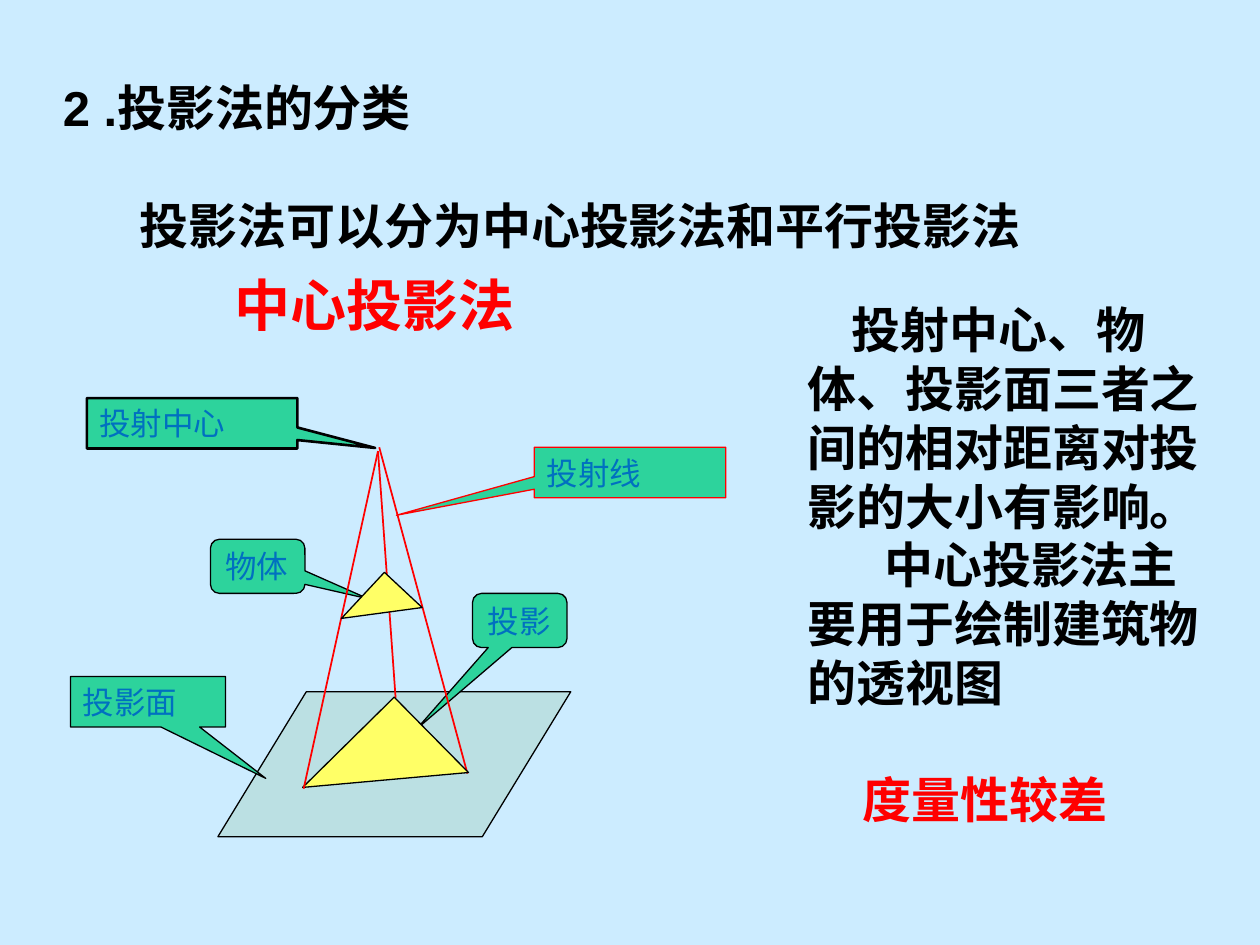
from dataclasses import dataclass

import pptx
import pptx.dml.color
import pptx.enum.shapes
import pptx.enum.text
import pptx.oxml.ns
import pptx.util
from lxml import etree

RGBColor = pptx.dml.color.RGBColor
Shape = pptx.enum.shapes.MSO_SHAPE

# The slide is a grid of 100 columns by 75 rows
SLIDE_WIDTH = pptx.util.Inches(10)
SLIDE_HEIGHT = pptx.util.Inches(7.5)
COLUMN = SLIDE_WIDTH / 100
ROW = SLIDE_HEIGHT / 75

SKY = RGBColor(0xCC, 0xEC, 0xFF)
PLANE = RGBColor(0xBB, 0xE0, 0xE3)
GREEN = RGBColor(0x2D, 0xD3, 0x9C)
YELLOW = RGBColor(0xFF, 0xFF, 0x66)
BLUE = RGBColor(0x00, 0x70, 0xC0)
RED = RGBColor(0xFF, 0x00, 0x00)
BLACK = RGBColor(0x00, 0x00, 0x00)

ARIAL = "Arial"
TIMES = "Times New Roman"
CHINESE = "Noto Sans CJK SC"
LINE_HEIGHT = 1.2


@dataclass(frozen=True)
class Area:
    left: float
    top: float
    width: float
    height: float

    def lengths(self) -> list[int]:
        units = (COLUMN, ROW, COLUMN, ROW)
        cells = (self.left, self.top, self.width, self.height)
        return [round(cell * unit) for cell, unit in zip(cells, units)]


@dataclass(frozen=True)
class Line:
    text: str
    font: str = ARIAL
    size: int = 28
    color: RGBColor = BLACK
    bold: bool = True
    indent: float = 0  # columns
    blank_before: int = 0  # line heights


@dataclass(frozen=True)
class Callout:
    text: str
    area: Area
    tip: tuple[float, float]
    rounded: bool = False
    outline: RGBColor = BLACK
    weight: float = 0.75


@dataclass(frozen=True)
class Ray:
    start: tuple[float, float]
    end: tuple[float, float]


TEXT_BOXES = [
    (Area(4, 5.7, 80.9, 19.7), [
        Line("2 .投影法的分类"),
        Line("投影法可以分为中心投影法和平行投影法", indent=6.1, blank_before=1),
    ]),
    (Area(17.6, 21, 26.4, 6.4), [Line("中心投影法", size=32, color=RED)]),
    (Area(63.1, 23.3, 34.1, 47.7), [
        Line("投射中心、物体、投影面三者之间的相对距离对投影的大小有影响。",
             font=TIMES, indent=3.5),
        Line("中心投影法主要用于绘制建筑物的透视图", indent=6.1),
        Line("度量性较差", font=TIMES, color=RED, indent=4.4, blank_before=1),
    ]),
]

CALLOUTS = [
    Callout("投射线", Area(42.4, 35.5, 15.2, 4), (-1.22, 0.85), outline=RED),
    Callout("物体", Area(16.7, 42.8, 7.5, 4.3), (1.17, 0.6), rounded=True),
    Callout("投影面", Area(5.6, 53.7, 12.3, 4), (0.76, 1.52)),
    Callout("投影", Area(37.5, 47.1, 7.5, 4.3), (-1.09, 2), rounded=True),
    Callout("投射中心", Area(6.9, 31.6, 16.7, 4), (0.87, 0.49), weight=1.5),
]

RIGHT_RAY = Ray((30.1, 35.5), (37.1, 61.4))
MIDDLE_RAY = Ray((30, 35.8), (31.4, 55.4))
LEFT_RAY = Ray((30, 35.8), (24.1, 62.6))


def write_lines(frame, lines: list[Line]) -> None:
    for index, line in enumerate(lines):
        para = frame.paragraphs[0] if index == 0 else frame.add_paragraph()
        para.alignment = pptx.enum.text.PP_ALIGN.LEFT
        pitch = line.size * LINE_HEIGHT
        para.line_spacing = pptx.util.Pt(pitch)
        para.space_before = pptx.util.Pt(pitch * line.blank_before)
        properties = para._p.get_or_add_pPr()
        properties.set("indent", str(round(line.indent * COLUMN)))
        properties.set("hangingPunct", "0")
        run = para.add_run()
        run.text = line.text
        run.font.name = line.font
        run.font.size = pptx.util.Pt(line.size)
        run.font.bold = line.bold
        run.font.color.rgb = line.color
        east_asian = etree.SubElement(run._r.get_or_add_rPr(), pptx.oxml.ns.qn("a:ea"))
        east_asian.set("typeface", CHINESE)


def add_text_box(page, area: Area, lines: list[Line]) -> None:
    box = page.shapes.add_textbox(*area.lengths())
    box.text_frame.word_wrap = True
    write_lines(box.text_frame, lines)


def add_figure(page, kind, area: Area, fill: RGBColor, outline: RGBColor = BLACK,
               weight: float = 0.75, adjust: tuple = (), rotation: float = 0):
    figure = page.shapes.add_shape(kind, *area.lengths())
    figure.shadow.inherit = False
    figure.fill.solid()
    figure.fill.fore_color.rgb = fill
    figure.line.color.rgb = outline
    figure.line.width = pptx.util.Pt(weight)
    figure.rotation = rotation
    for index, value in enumerate(adjust):
        figure.adjustments[index] = value
    return figure


def add_callout(page, callout: Callout) -> None:
    kind = (Shape.ROUNDED_RECTANGULAR_CALLOUT if callout.rounded
            else Shape.RECTANGULAR_CALLOUT)
    figure = add_figure(page, kind, callout.area, GREEN, callout.outline,
                        callout.weight, callout.tip)
    frame = figure.text_frame
    frame.word_wrap = not callout.rounded
    frame.vertical_anchor = pptx.enum.text.MSO_ANCHOR.MIDDLE
    write_lines(frame, [Line(callout.text, TIMES, 18, BLUE, bold=False)])


def add_ray(page, ray: Ray) -> None:
    ends = [round(cell * unit) for point in (ray.start, ray.end)
            for cell, unit in zip(point, (COLUMN, ROW))]
    connector = page.shapes.add_connector(
        pptx.enum.shapes.MSO_CONNECTOR.STRAIGHT, *ends)
    connector.line.color.rgb = RED
    connector.line.width = pptx.util.Pt(1)
    etree.SubElement(connector._element.spPr, pptx.oxml.ns.qn("a:effectLst"))


def main() -> None:
    deck = pptx.Presentation()
    deck.slide_width = SLIDE_WIDTH
    deck.slide_height = SLIDE_HEIGHT
    page = deck.slides.add_slide(deck.slide_layouts[6])
    page.background.fill.solid()
    page.background.fill.fore_color.rgb = SKY

    # Projection plane and its labels
    add_figure(page, Shape.PARALLELOGRAM, Area(17.3, 54.9, 28, 11.5), PLANE,
               adjust=(0.61,))
    for callout in CALLOUTS:
        add_callout(page, callout)

    # Rays, with the projected triangle and the object
    add_ray(page, RIGHT_RAY)
    add_ray(page, MIDDLE_RAY)
    add_figure(page, Shape.RIGHT_TRIANGLE, Area(25.5, 57.7, 10.2, 8.4), YELLOW,
               rotation=135.4)
    add_ray(page, LEFT_RAY)
    add_figure(page, Shape.RIGHT_TRIANGLE, Area(27.8, 46.6, 5, 4.1), YELLOW,
               rotation=133)

    # Headings and explanation
    for area, lines in TEXT_BOXES:
        add_text_box(page, area, lines)

    deck.save("out.pptx")


if __name__ == "__main__":
    main()
